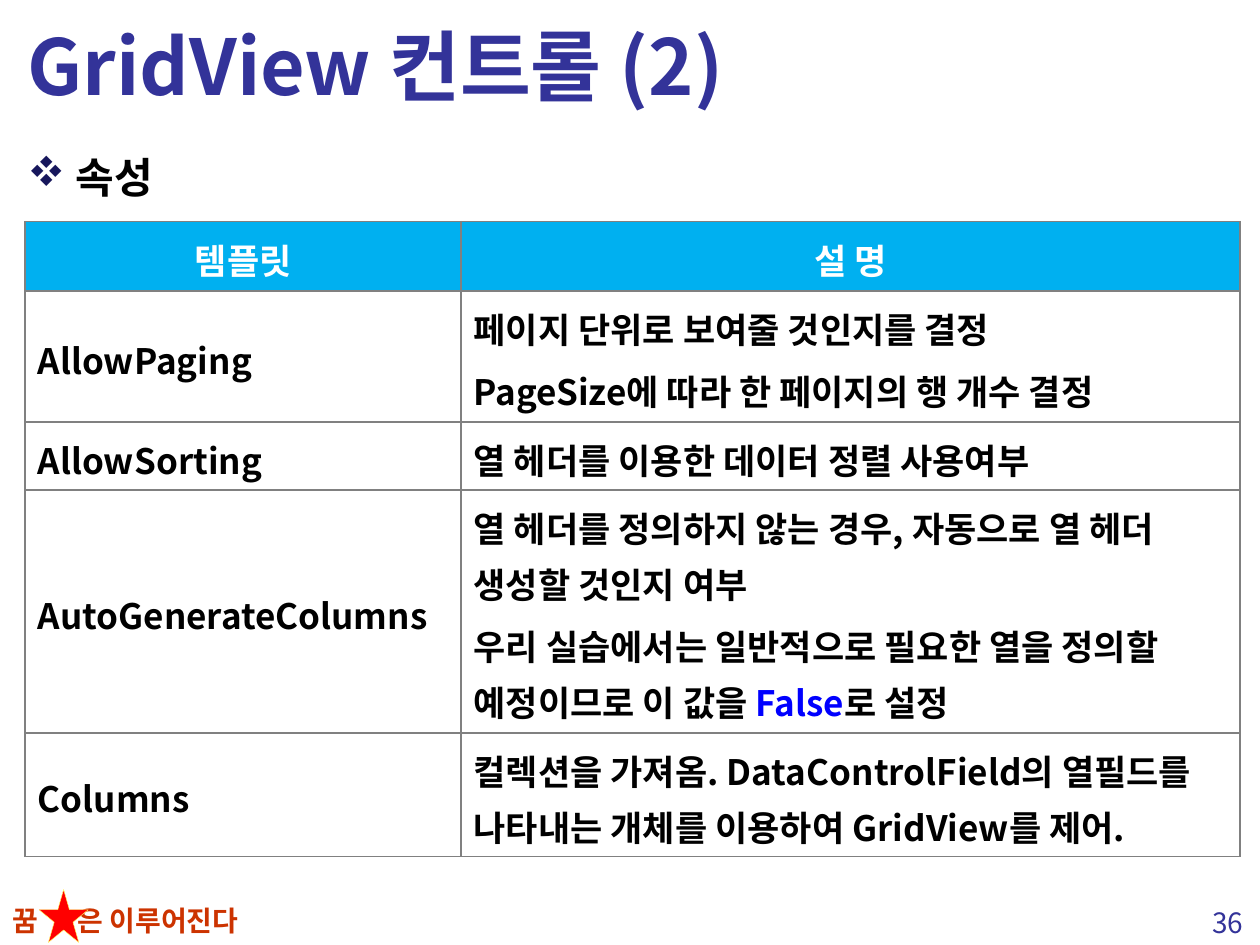
import pptx
import pptx.dml.color
import pptx.enum.shapes
import pptx.enum.text
import pptx.oxml.ns
import pptx.util
from lxml import etree

Inches = pptx.util.Inches
Pt = pptx.util.Pt
RGBColor = pptx.dml.color.RGBColor
Align = pptx.enum.text.PP_ALIGN
Anchor = pptx.enum.text.MSO_ANCHOR
qn = pptx.oxml.ns.qn

FONT = "Noto Sans CJK KR"
INDIGO = RGBColor(0x33, 0x33, 0x99)
NAVY = RGBColor(0x17, 0x17, 0x5C)
BLACK = RGBColor(0, 0, 0)
WHITE = RGBColor(255, 255, 255)
BLUE = RGBColor(0, 0, 255)
SKY = RGBColor(0, 0xB0, 0xF0)
GRAY = RGBColor(0x80, 0x80, 0x80)
RUST = RGBColor(0xCC, 0x33, 0)
RED = RGBColor(255, 0, 0)
YELLOW = RGBColor(255, 255, 0x66)

TITLE = "GridView 컨트롤 (2)"
HEADING = "속성"
MOTTO = "꿈\t은 이루어진다"
PAGE_NUMBER = "36"
KEYWORD = "False"
PROPERTIES = [
    ("템플릿", ["설 명"]),
    ("AllowPaging", ["페이지 단위로 보여줄 것인지를 결정",
                     "PageSize에 따라 한 페이지의 행 개수 결정"]),
    ("AllowSorting", ["열 헤더를 이용한 데이터 정렬 사용여부"]),
    ("AutoGenerateColumns", [
        "열 헤더를 정의하지 않는 경우, 자동으로 열 헤더 생성할 것인지 여부",
        "우리 실습에서는 일반적으로 필요한 열을 정의할 예정이므로 이 값을 False로 설정"]),
    ("Columns", ["컬렉션을 가져옴. DataControlField의 열필드를 나타내는 개체를 "
                 "이용하여 GridView를 제어."]),
]
COLUMN_WIDTHS = [3.46, 6.18]
ROW_HEIGHTS = [0.55, 1.04, 0.54, 1.93, 0.98]


def style_run(run, size, color, bold=True):
    run.font.size = Pt(size)
    run.font.name = FONT
    run.font.bold = bold
    run.font.color.rgb = color
    run.font._element.set("kern", "0")
    east_asian = etree.Element(qn("a:ea"), typeface=FONT)
    run.font._element.find(qn("a:latin")).addnext(east_asian)


def add_label(slide, box, text, size, color, bold=True, wrap=True):
    label = slide.shapes.add_textbox(*map(Inches, box))
    label.text_frame.word_wrap = wrap
    paragraph = label.text_frame.paragraphs[0]
    paragraph.text = text
    for run in paragraph.runs:
        style_run(run, size, color, bold)
    return paragraph


def add_heading(slide):
    heading = add_label(slide, (0.12, 1.07, 9.79, 6.04), HEADING, 24, BLACK)
    heading.line_spacing = 1.2
    heading.space_before = Pt(4.8)
    properties = heading._p.get_or_add_pPr()
    properties.set("marL", str(Inches(0.38)))
    properties.set("indent", str(Inches(-0.38)))
    bullet_color = etree.SubElement(properties, qn("a:buClr"))
    etree.SubElement(bullet_color, qn("a:srgbClr"), val=str(NAVY))
    etree.SubElement(properties, qn("a:buFont"), typeface="Wingdings",
                     pitchFamily="2", charset="2")
    etree.SubElement(properties, qn("a:buChar"), char="v")


def add_borders(cell):
    properties = cell._tc.get_or_add_tcPr()
    for side in ("lnL", "lnR", "lnT", "lnB"):
        border = etree.SubElement(properties, qn(f"a:{side}"), w=str(Pt(1)))
        fill = etree.SubElement(border, qn("a:solidFill"))
        etree.SubElement(fill, qn("a:srgbClr"), val=str(GRAY))


def fill_cell(cell, lines, is_header):
    add_borders(cell)
    if is_header:
        cell.fill.solid()
        cell.fill.fore_color.rgb = SKY
    else:
        cell.fill.background()
    cell.vertical_anchor = Anchor.MIDDLE
    cell.text_frame.text = "\n".join(lines)
    for paragraph, line in zip(cell.text_frame.paragraphs, lines):
        paragraph.alignment = Align.CENTER if is_header else Align.LEFT
        paragraph.line_spacing = 1.1
        paragraph.space_before = Pt(4)
        before, keyword, after = line.partition(KEYWORD)
        paragraph.runs[0].text = before
        for part in filter(None, (keyword, after)):
            paragraph.add_run().text = part
        for run in paragraph.runs:
            plain = WHITE if is_header else BLACK
            style_run(run, 20, BLUE if run.text == KEYWORD else plain)


def add_property_table(slide):
    table = slide.shapes.add_table(
        len(PROPERTIES), len(COLUMN_WIDTHS), Inches(0.2), Inches(1.76),
        Inches(sum(COLUMN_WIDTHS)), Inches(sum(ROW_HEIGHTS))).table
    table.horz_banding = False
    for column, width in zip(table.columns, COLUMN_WIDTHS):
        column.width = Inches(width)
    for index, (name, description) in enumerate(PROPERTIES):
        table.rows[index].height = Inches(ROW_HEIGHTS[index])
        fill_cell(table.cell(index, 0), [name], index == 0)
        fill_cell(table.cell(index, 1), description, index == 0)


def add_footer(slide):
    motto = add_label(slide, (0, 7.12, 2.48, 0.37), MOTTO, 16, RUST)
    tabs = etree.SubElement(motto._p.get_or_add_pPr(), qn("a:tabLst"))
    etree.SubElement(tabs, qn("a:tab"), pos=str(Inches(0.52)), algn="l")
    star = slide.shapes.add_shape(
        pptx.enum.shapes.MSO_SHAPE.STAR_5_POINT,
        *map(Inches, (0.31, 7.06, 0.39, 0.42)))
    star.shadow.inherit = False
    star.fill.solid()
    star.fill.fore_color.rgb = RED
    star.line.color.rgb = YELLOW
    star.line.width = Pt(0.25)
    number = add_label(slide, (9.49, 7.14, 0.51, 0.37), PAGE_NUMBER, 16,
                       INDIGO, bold=False, wrap=False)
    number.alignment = Align.CENTER


def add_title(slide):
    title = slide.shapes.title
    title.left, title.top, title.width, title.height = map(
        Inches, (0.12, 0.07, 9.76, 0.88))
    title.text_frame.text = TITLE
    title.text_frame.vertical_anchor = Anchor.MIDDLE
    paragraph = title.text_frame.paragraphs[0]
    paragraph.alignment = Align.LEFT
    style_run(paragraph.runs[0], 44, INDIGO)


def main():
    presentation = pptx.Presentation()
    presentation.slide_width = Inches(10)
    presentation.slide_height = Inches(7.5)
    slide = presentation.slides.add_slide(presentation.slide_layouts[5])
    add_footer(slide)
    add_title(slide)
    add_heading(slide)
    add_property_table(slide)
    presentation.save("out.pptx")


if __name__ == "__main__":
    main()
